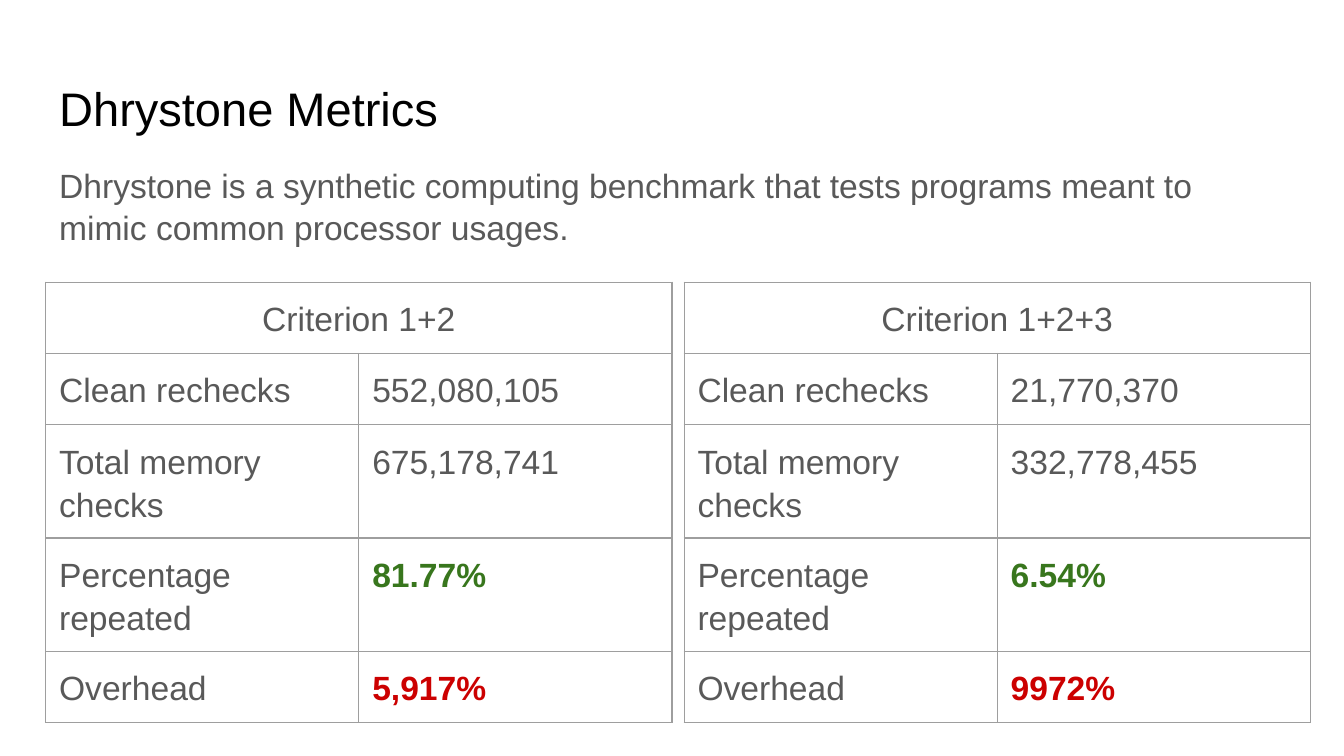
import dataclasses

import lxml.etree
import pptx
import pptx.dml.color
import pptx.enum.text
import pptx.oxml.ns
import pptx.util

Inches = pptx.util.Inches
Pt = pptx.util.Pt
Align = pptx.enum.text.PP_ALIGN
qn = pptx.oxml.ns.qn


@dataclasses.dataclass(frozen=True)
class Theme:
    font: str = "Arial"
    title_size: float = 25.2
    text_size: float = 18
    title: str = "000000"
    text: str = "595959"
    good: str = "38761D"
    bad: str = "CC0000"
    border: str = "9E9E9E"
    border_width: float = 0.75
    inset: float = 0.1


THEME = Theme()
LABELS = ["Clean rechecks", "Total memory checks", "Percentage repeated", "Overhead"]
VALUE_COLORS = [THEME.text, THEME.text, THEME.good, THEME.bad]
ROW_HEIGHTS = [0.53, 0.53, 0.84, 0.84, 0.53]
CRITERIA = [
    ("Criterion 1+2", ["552,080,105", "675,178,741", "81.77%", "5,917%"]),
    ("Criterion 1+2+3", ["21,770,370", "332,778,455", "6.54%", "9972%"]),
]


def write(paragraph, wording, color, size=THEME.text_size, bold=False,
          align=Align.LEFT, line_spacing=1.0, space_after=0):
    paragraph.alignment = align
    paragraph.line_spacing = line_spacing
    paragraph.space_before = Pt(0)
    paragraph.space_after = Pt(space_after)
    run = paragraph.add_run()
    run.text = wording
    run.font.name = THEME.font
    run.font.size = Pt(size)
    run.font.bold = bold
    run.font.color.rgb = pptx.dml.color.RGBColor.from_string(color)


def set_margins(holder):
    for side in ("left", "right", "top", "bottom"):
        setattr(holder, f"margin_{side}", Inches(THEME.inset))


def fit_placeholder(placeholder, left, top, width, height):
    placeholder.left, placeholder.top = Inches(left), Inches(top)
    placeholder.width, placeholder.height = Inches(width), Inches(height)
    frame = placeholder.text_frame
    set_margins(frame)
    frame.word_wrap = True
    frame.auto_size = pptx.enum.text.MSO_AUTO_SIZE.NONE
    frame.vertical_anchor = pptx.enum.text.MSO_ANCHOR.TOP
    return frame.paragraphs[0]


def add_heading(slide, left, top, width, height):
    heading = fit_placeholder(slide.shapes.title, left, top, width, height)
    write(heading, "Dhrystone Metrics", THEME.title, THEME.title_size)


def add_description(slide, left, top, width, height):
    description = fit_placeholder(slide.placeholders[1], left, top, width, height)
    write(description,
          "Dhrystone is a synthetic computing benchmark that tests programs "
          "meant to mimic common processor usages.",
          THEME.text, line_spacing=1.05, space_after=12)
    properties = description._p.get_or_add_pPr()
    properties.set("marL", "0")
    properties.set("indent", "0")
    lxml.etree.SubElement(properties, qn("a:buNone"))


def style_cell(cell):
    set_margins(cell)
    cell.fill.background()
    properties = cell._tc.get_or_add_tcPr()
    for position, edge in enumerate(("a:lnL", "a:lnR", "a:lnT", "a:lnB")):
        line = lxml.etree.Element(qn(edge), w=str(Pt(THEME.border_width)))
        fill = lxml.etree.SubElement(line, qn("a:solidFill"))
        lxml.etree.SubElement(fill, qn("a:srgbClr"), val=THEME.border)
        properties.insert(position, line)


def add_criterion(slide, left, top, width, criterion, values):
    metrics = slide.shapes.add_table(
        len(ROW_HEIGHTS), 2, Inches(left), Inches(top),
        Inches(width), Inches(sum(ROW_HEIGHTS))).table
    metrics.first_row = False
    metrics.horz_banding = False
    for row, height in zip(metrics.rows, ROW_HEIGHTS):
        row.height = Inches(height)
    for cell in metrics.iter_cells():
        style_cell(cell)
    metrics.cell(0, 0).merge(metrics.cell(0, 1))

    spacing = {"line_spacing": 1.15, "space_after": 12}
    write(metrics.cell(0, 0).text_frame.paragraphs[0], criterion, THEME.text,
          align=Align.CENTER, **spacing)
    for row, (label, value, color) in enumerate(zip(LABELS, values, VALUE_COLORS), 1):
        write(metrics.cell(row, 0).text_frame.paragraphs[0], label, THEME.text, **spacing)
        write(metrics.cell(row, 1).text_frame.paragraphs[0], value, color,
              bold=color != THEME.text, **spacing)


def main():
    deck = pptx.Presentation()
    deck.slide_width = Inches(10)
    deck.slide_height = deck.slide_width * 9 // 16
    slide = deck.slides.add_slide(deck.slide_layouts[1])
    left, width = 0.34, 9.32
    add_heading(slide, left, 0.49, width, 0.63)
    add_description(slide, left, 1.11, width, 0.82)
    table_width, gap = 4.66, 0.09
    for index, (criterion, values) in enumerate(CRITERIA):
        add_criterion(slide, left + index * (table_width + gap), 2.1,
                      table_width, criterion, values)
    deck.save("out.pptx")


if __name__ == "__main__":
    main()
